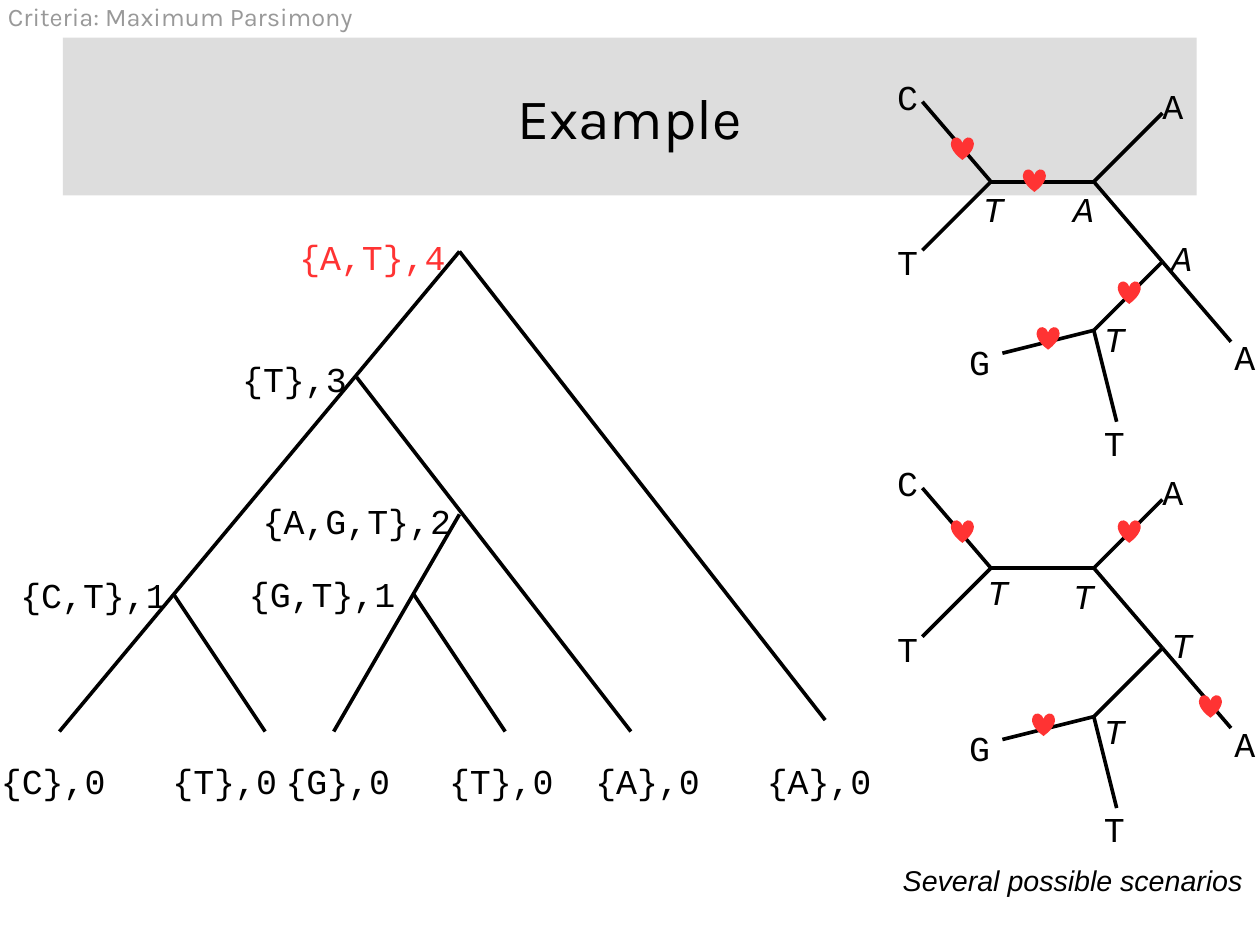
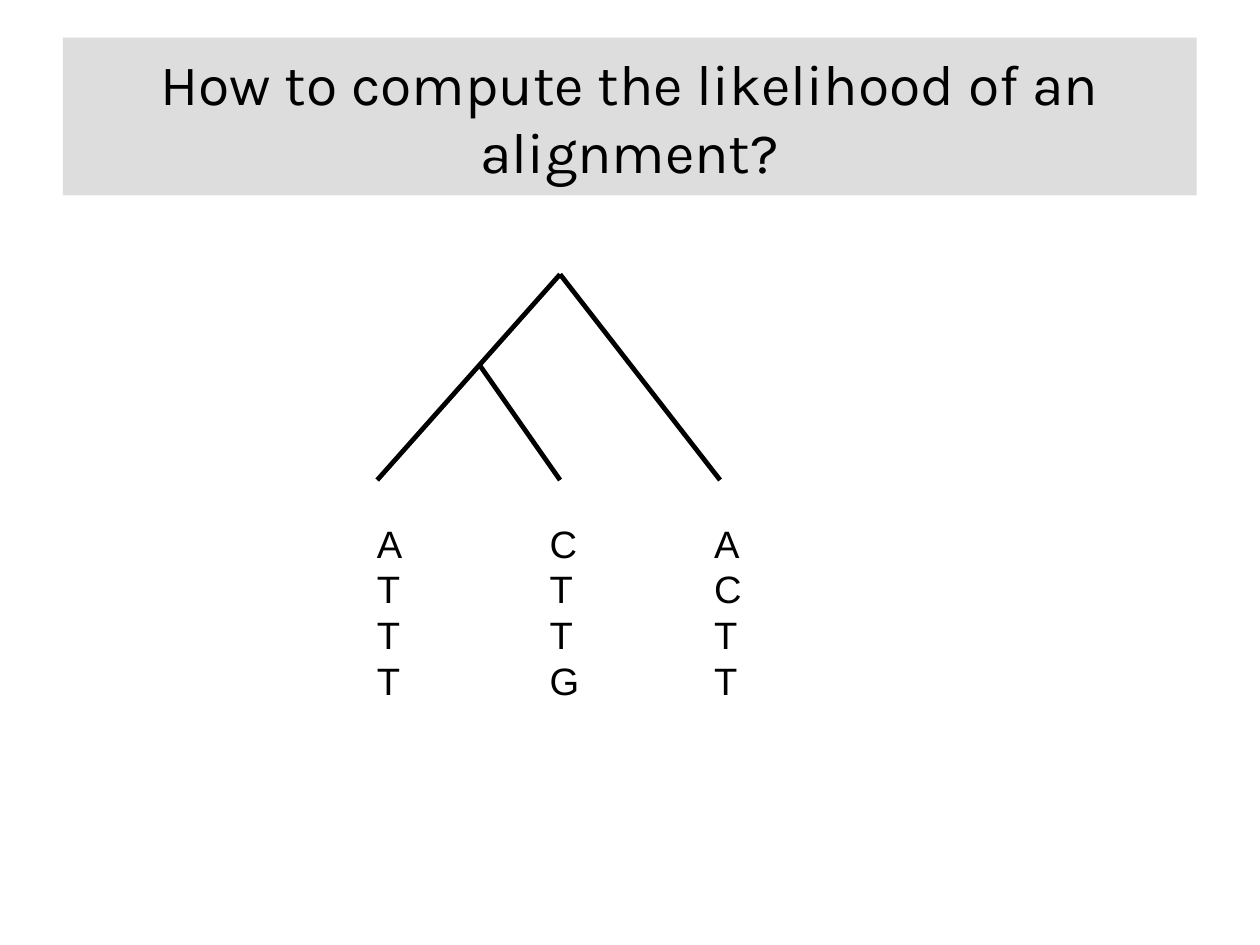
from dataclasses import dataclass

from pptx import Presentation
from pptx.dml.color import RGBColor
from pptx.enum import shapes, text
from pptx.oxml import ns
from pptx.slide import Slide
from pptx.util import Inches, Pt
from lxml import etree

HUES = {"ink": "000000", "band": "DDDDDD", "note": "999999", "red": "FF3333"}
MONO, SANS, HEAD = "Courier New", "Arial", "Karla"
HEART = 0.2
WIDE, HIGH = 28 / 2.54, 21 / 2.54  # a page of 28 by 21 cm

Point = tuple[float, float]


@dataclass
class Label:
    text: str
    left: float
    top: float
    slant: bool = False
    hue: str = "ink"


@dataclass
class Tree:
    nodes: dict[str, Point]
    edges: list[str]  # each edge is a pair of node letters
    weight: float = 2.3


@dataclass
class Scene:
    drop: float  # distance below the first scenario
    states: list[Label]
    hearts: list[Point]


def tint(hue: str) -> RGBColor:
    return RGBColor.from_string(HUES[hue])


def write(shape, words: str, face: str, size: float, hue: str = "ink",
          slant: bool = False, pad: bool = True, align=text.PP_ALIGN.LEFT) -> None:
    frame = shape.text_frame
    frame.word_wrap = True
    frame.text = words
    if not pad:
        frame.margin_left = frame.margin_right = 0
        frame.margin_top = frame.margin_bottom = 0
        frame.vertical_anchor = text.MSO_ANCHOR.MIDDLE
    for para in frame.paragraphs:
        para.alignment = align
        font = para.font
        font.name, font.size, font.italic = face, Pt(size), slant
        font.color.rgb = tint(hue)


def box(slide: Slide, left: float, top: float, width: float, height: float):
    return slide.shapes.add_textbox(*map(Inches, (left, top, width, height)))


def solid(slide: Slide, kind, left: float, top: float, width: float,
          height: float, hue: str):
    shape = slide.shapes.add_shape(kind, *map(Inches, (left, top, width, height)))
    shape.shadow.inherit = False
    shape.fill.solid()
    shape.fill.fore_color.rgb = tint(hue)
    shape.line.fill.background()
    return shape


def start(deck, title: str) -> Slide:
    """Add a blank slide with the shared title band."""
    slide = deck.slides.add_slide(deck.slide_layouts[6])
    band = solid(slide, shapes.MSO_SHAPE.RECTANGLE, 0.55, 0.33, 9.92, 1.38, "band")
    write(band, title, HEAD, 36, pad=False, align=text.PP_ALIGN.CENTER)
    return slide


def grow(slide: Slide, tree: Tree, drop: float = 0) -> None:
    for a, b in tree.edges:
        (x1, y1), (x2, y2) = tree.nodes[a], tree.nodes[b]
        line = slide.shapes.add_connector(
            shapes.MSO_CONNECTOR.STRAIGHT,
            *map(Inches, (x1, y1 + drop, x2, y2 + drop)))
        line.line.color.rgb = tint("ink")
        line.line.width = Pt(tree.weight)
        etree.SubElement(line._element.spPr, ns.qn("a:effectLst"))


def tag(slide: Slide, label: Label, drop: float = 0) -> None:
    width = 0.2 + 0.19 * len(label.text)
    shape = box(slide, label.left, label.top + drop, width, 0.4)
    write(shape, label.text, MONO, 22, label.hue, label.slant)


# Rooted tree with its state sets and costs
ROOTED = Tree(
    {"r": (4.02, 2.2), "t": (3.12, 3.3), "m": (4.02, 4.5),
     "c": (1.52, 5.2), "g": (3.62, 5.2),
     "1": (0.52, 6.4), "2": (2.32, 6.4), "3": (2.92, 6.4),
     "4": (4.42, 6.4), "5": (5.52, 6.4), "6": (7.22, 6.3)},
    ["r1", "r6", "t5", "c2", "g4", "m3"])
LEAVES = zip("CTGTAA", (-0.09, 1.41, 2.4, 3.83, 5.11, 6.61))
COSTS = [Label(f"{{{base}}},0", left, 6.6) for base, left in LEAVES] + [
    Label("{C,T},1", 0.08, 4.97),
    Label("{G,T},1", 2.08, 4.96),
    Label("{A,G,T},2", 2.2, 4.32),
    Label("{T},3", 2.02, 3.08),
    Label("{A,T},4", 2.52, 2.01, hue="red"),
]

# Unrooted tree, shared by both scenarios
OPEN = Tree(
    {"w": (8.67, 1.59), "n": (9.57, 1.59), "e": (10.17, 2.29), "s": (9.57, 2.89),
     "1": (8.07, 0.89), "2": (8.07, 2.19), "3": (10.17, 0.99),
     "4": (10.77, 2.99), "5": (8.77, 3.09), "6": (9.77, 3.69)},
    ["1w", "wn", "2w", "n3", "ne", "e4", "se", "5s", "6s"])
TIPS = [
    Label("A", 10.07, 0.69), Label("C", 7.75, 0.61), Label("T", 7.75, 2.06),
    Label("G", 8.38, 2.93), Label("T", 9.56, 3.64), Label("A", 10.7, 2.89),
]
SCENES = [
    Scene(0,
          [Label("T", 8.5, 1.59, True), Label("A", 9.29, 1.59, True),
           Label("A", 10.15, 2.02, True), Label("T", 9.56, 2.73, True)],
          [(8.32, 1.2), (8.95, 1.48), (9.78, 2.46), (9.07, 2.86)]),
    Scene(3.38,
          [Label("T", 8.54, 1.56, True), Label("T", 9.29, 1.6, True),
           Label("T", 10.15, 2.03, True), Label("T", 9.56, 2.78, True)],
          [(9.78, 1.17), (8.32, 1.17), (9.03, 2.86), (10.49, 2.7)]),
]

# Three-leaf tree and the sequences below it
SMALL = Tree(
    {"r": (4.9, 2.4), "m": (4.2, 3.2),
     "1": (3.3, 4.2), "2": (4.9, 4.2), "3": (6.3, 4.2)},
    ["r3", "r1", "m2"], weight=3)
READS = {3.2: "ATTT", 4.71: "CTTG", 6.15: "ACTT"}


def example(deck) -> None:
    slide = start(deck, "Example")
    write(box(slide, 0.07, 0, 3.34, 0.28), "Criteria: Maximum Parsimony",
          HEAD, 16, "note", pad=False)
    grow(slide, ROOTED)
    for label in COSTS:
        tag(slide, label)
    for scene in SCENES:
        grow(slide, OPEN, scene.drop)
        for label in TIPS + scene.states:
            tag(slide, label, scene.drop)
        for left, top in scene.hearts:
            solid(slide, shapes.MSO_SHAPE.HEART, left, top + scene.drop,
                  HEART, HEART, "red")
    write(box(slide, 7.8, 7.5, 3.2, 0.38), "Several possible scenarios",
          SANS, 18, slant=True)


def chances(deck) -> None:
    slide = start(deck, "How to compute the likelihood of an alignment?")
    grow(slide, SMALL)
    for left, bases in READS.items():
        write(box(slide, left, 4.5, 0.5, 1.59), "\n".join(bases), SANS, 24)


def main() -> None:
    deck = Presentation()
    deck.slide_width, deck.slide_height = Inches(WIDE), Inches(HIGH)
    example(deck)
    chances(deck)
    deck.save("out.pptx")


if __name__ == "__main__":
    main()
